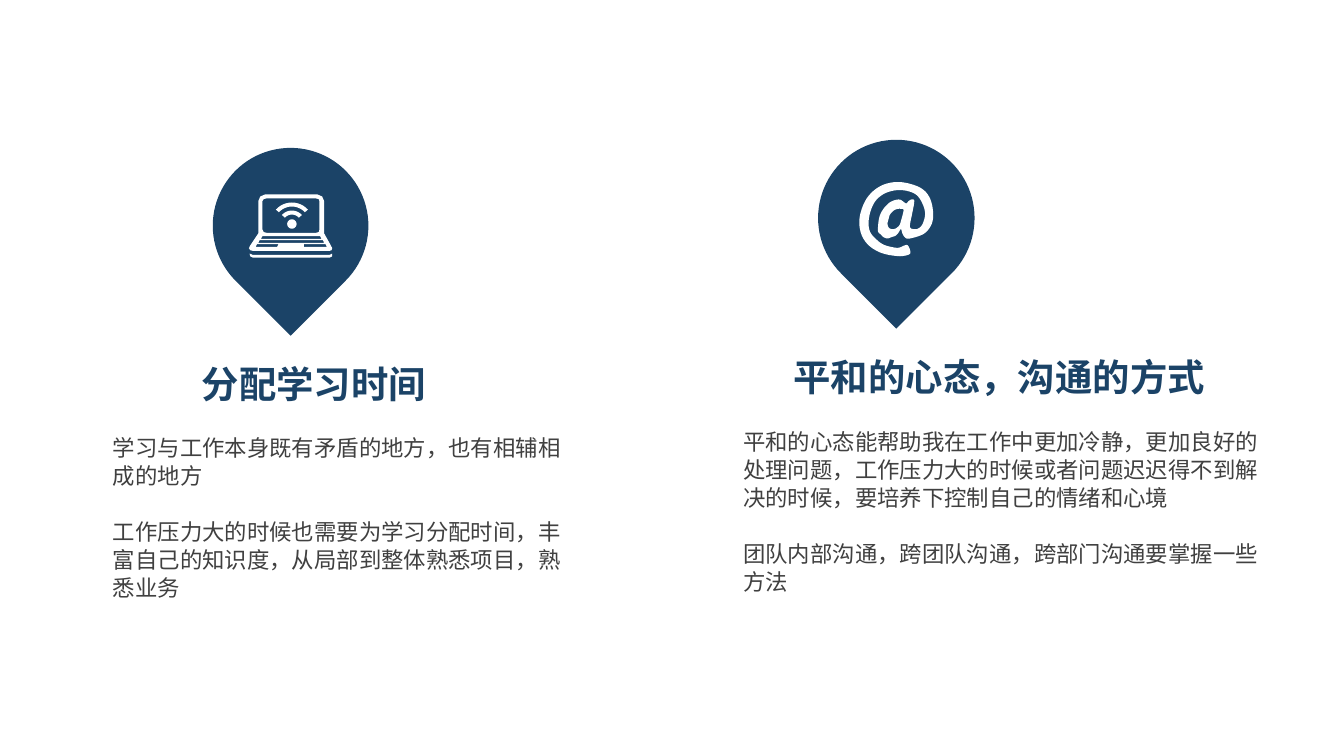
from dataclasses import dataclass
from math import cos, radians, sin

from lxml import etree
from pptx import Presentation
from pptx.dml.color import RGBColor
from pptx.enum.shapes import MSO_SHAPE
from pptx.enum.text import PP_ALIGN
from pptx.oxml.ns import qn
from pptx.util import Inches, Pt

TEARDROP = MSO_SHAPE.TEAR
LEFT, CENTER = PP_ALIGN.LEFT, PP_ALIGN.CENTER
SLIDE_WIDTH = 10
SLIDE_HEIGHT = SLIDE_WIDTH * 9 / 16
BLANK_LAYOUT = 6


@dataclass(frozen=True)
class Theme:
    font: str = "Noto Sans CJK SC"
    navy: str = "1B4367"
    gray: str = "404040"
    white: str = "FFFFFF"
    heading_size: int = 20
    body_size: int = 12
    body_leading: int = 15


@dataclass(frozen=True)
class Box:
    left: float
    top: float
    width: float
    height: float

    def emu(self):
        return [Inches(n) for n in (self.left, self.top, self.width, self.height)]


THEME = Theme()


def arc(radius, start, end, steps=12):
    """Points around the Wi-Fi dot, with angles measured from straight up."""
    angles = [radians(start + (end - start) * i / steps) for i in range(steps + 1)]
    return [(32 + radius * sin(a), 22 - radius * cos(a)) for a in angles]


def signal_band(inner, outer):
    return arc(outer, -48, 48) + arc(inner, 48, -48)


def smooth(contour, rounds=2):
    """Keep every point and add one on the curve between each pair."""
    for _ in range(rounds):
        rounded = []
        for i, (x, y) in enumerate(contour):
            before = contour[i - 1]
            after, beyond = (contour[(i + n) % len(contour)] for n in (1, 2))
            rounded += [(x, y), ((9 * (x + after[0]) - before[0] - beyond[0]) / 16,
                                 (9 * (y + after[1]) - before[1] - beyond[1]) / 16)]
        contour = rounded
    return contour


# Icon contours are in hundredths of an inch; nested contours cut holes.
LAPTOP = [
    [(61, 38), (56, 29), (56, 5), (54.5, 1.5), (51, 0), (12, 0), (8.5, 1.5), (7, 5),
     (7, 29), (1, 38), (0, 40), (1, 41.5), (3, 42), (60, 42), (61.5, 41.5), (62, 40)],
    [(10, 5), (11, 3.5), (13, 3), (50, 3), (52, 3.5), (52.5, 5),
     (52.5, 26), (52, 28), (50, 28.5), (13, 28.5), (11, 28), (10, 26)],
    [(10, 31), (53, 31), (54, 33), (9, 33)],
    [(8, 34), (55, 34), (56, 36), (7, 36)],
    [(6, 37), (22, 37), (21, 39), (5, 39)],
    [(41, 37), (57, 37), (58, 39), (41, 39)],
    [(60, 45), (3, 45), (0.5, 44), (1, 46), (3, 47), (60, 47), (62, 46), (62, 44)],
    signal_band(13, 16),
    signal_band(7, 10),
    arc(3.5, 0, 360, 24),
]
AT_SIGN = [smooth(contour) for contour in (
    [(37, 14), (41, 14), (38, 30), (38, 34), (40, 35), (43, 35), (46, 33), (48, 29),
     (49, 23), (47, 16), (43, 10), (37, 7), (29, 6), (20, 8), (13, 13), (9, 20),
     (7, 29), (8, 37), (13, 43), (19, 47), (28, 49), (32, 48), (36, 47), (38, 53),
     (33, 55), (27, 55), (17, 53), (8, 48), (2, 40), (0, 29), (3, 17), (9, 8),
     (18, 2), (29, 0), (40, 2), (48, 6), (53, 13), (55, 23), (54, 31), (50, 37),
     (45, 40), (38, 42), (35, 42), (33, 40), (32, 38), (31, 35), (29, 38), (27, 40),
     (24, 41), (21, 42), (18, 41), (16, 39), (14, 37), (14, 33), (15, 26), (18, 20),
     (23, 15), (29, 13), (32, 14), (35, 16)],
    [(33, 21), (31, 20), (29, 20), (26, 21), (23, 24), (22, 27), (21, 31), (22, 34),
     (24, 35), (26, 35), (28, 34), (30, 32), (31, 29)],
)]


def format_shape(shape, color):
    shape.shadow.inherit = False
    shape.fill.solid()
    shape.fill.fore_color.rgb = RGBColor.from_string(color)
    shape.line.fill.background()


def add_text(slide, box, paragraphs, *, size, color, bold=False, align=LEFT,
             wrap=True, leading=None, gap=0):
    frame = slide.shapes.add_textbox(*box.emu()).text_frame
    frame.word_wrap = wrap
    frame.margin_left = frame.margin_right = Inches(0.07)
    frame.margin_top = frame.margin_bottom = Inches(0.04)
    for index, text in enumerate(paragraphs):
        paragraph = frame.add_paragraph() if index else frame.paragraphs[0]
        paragraph.alignment = align
        if leading:
            paragraph.line_spacing = Pt(leading)
        if index:
            paragraph.space_before = Pt(gap)
        run = paragraph.add_run()
        run.text = text
        font = run.font
        font.name, font.size, font.bold = THEME.font, Pt(size), bold
        font.color.rgb = RGBColor.from_string(color)
        east_asian = etree.SubElement(run._r.get_or_add_rPr(), qn("a:ea"))
        east_asian.set("typeface", THEME.font)


def add_icon(slide, left, top, contours):
    first, *others = [[(Inches(x / 100), Inches(y / 100)) for x, y in contour]
                      for contour in contours]
    builder = slide.shapes.build_freeform(*first[0])
    builder.add_line_segments(first[1:], close=True)
    for contour in others:
        builder.move_to(*contour[0])
        builder.add_line_segments(contour[1:], close=True)
    icon = builder.convert_to_shape(Inches(left), Inches(top))
    format_shape(icon, THEME.white)


def add_pin(slide, box, icon, icon_top):
    """Map pin pointing down, with its icon centred across it."""
    pin = slide.shapes.add_shape(TEARDROP, *box.emu())
    pin.rotation = 135
    format_shape(pin, THEME.navy)
    icon_width = max(x for x, _ in icon[0]) / 100
    add_icon(slide, box.left + (box.width - icon_width) / 2,
             box.top + box.height * icon_top, icon)


def add_panel(slide, box, *, icon, icon_top, pin_center, heading, heading_center,
              heading_width, body, body_height):
    """Pin, heading and body; centres, widths and heights are shares of the box."""
    pin_size = box.height * 0.3
    add_pin(slide, Box(box.left + box.width * pin_center - pin_size / 2, box.top,
                       pin_size, pin_size), icon, icon_top)
    width = box.width * heading_width
    add_text(slide, Box(box.left + box.width * heading_center - width / 2,
                        box.top + box.height * 0.4, width, box.height * 0.11),
             [heading], size=THEME.heading_size, color=THEME.navy, bold=True,
             align=CENTER, wrap=False)
    add_text(slide, Box(box.left, box.top + box.height * 0.54, box.width,
                        box.height * body_height),
             body, size=THEME.body_size, color=THEME.gray,
             leading=THEME.body_leading, gap=THEME.body_leading)


def main():
    presentation = Presentation()
    presentation.slide_width = Inches(SLIDE_WIDTH)
    presentation.slide_height = Inches(SLIDE_HEIGHT)
    slide = presentation.slides.add_slide(presentation.slide_layouts[BLANK_LAYOUT])
    add_panel(
        slide, Box(0.77, 1.1, 3.48, 3.86), icon=LAPTOP, icon_top=0.3, pin_center=0.4,
        heading="分配学习时间", heading_center=0.45, heading_width=0.87,
        body=["学习与工作本身既有矛盾的地方，也有相辅相成的地方",
              "工作压力大的时候也需要为学习分配时间，丰富自己的知识度，"
              "从局部到整体熟悉项目，熟悉业务"],
        body_height=0.45)
    add_panel(
        slide, Box(5.46, 1.04, 4.03, 3.88), icon=AT_SIGN, icon_top=0.27, pin_center=0.3,
        heading="平和的心态，沟通的方式", heading_center=0.49, heading_width=0.8,
        body=["平和的心态能帮助我在工作中更加冷静，更加良好的处理问题，"
              "工作压力大的时候或者问题迟迟得不到解决的时候，"
              "要培养下控制自己的情绪和心境",
              "团队内部沟通，跨团队沟通，跨部门沟通要掌握一些方法"],
        body_height=0.34)
    presentation.save("out.pptx")


if __name__ == "__main__":
    main()
